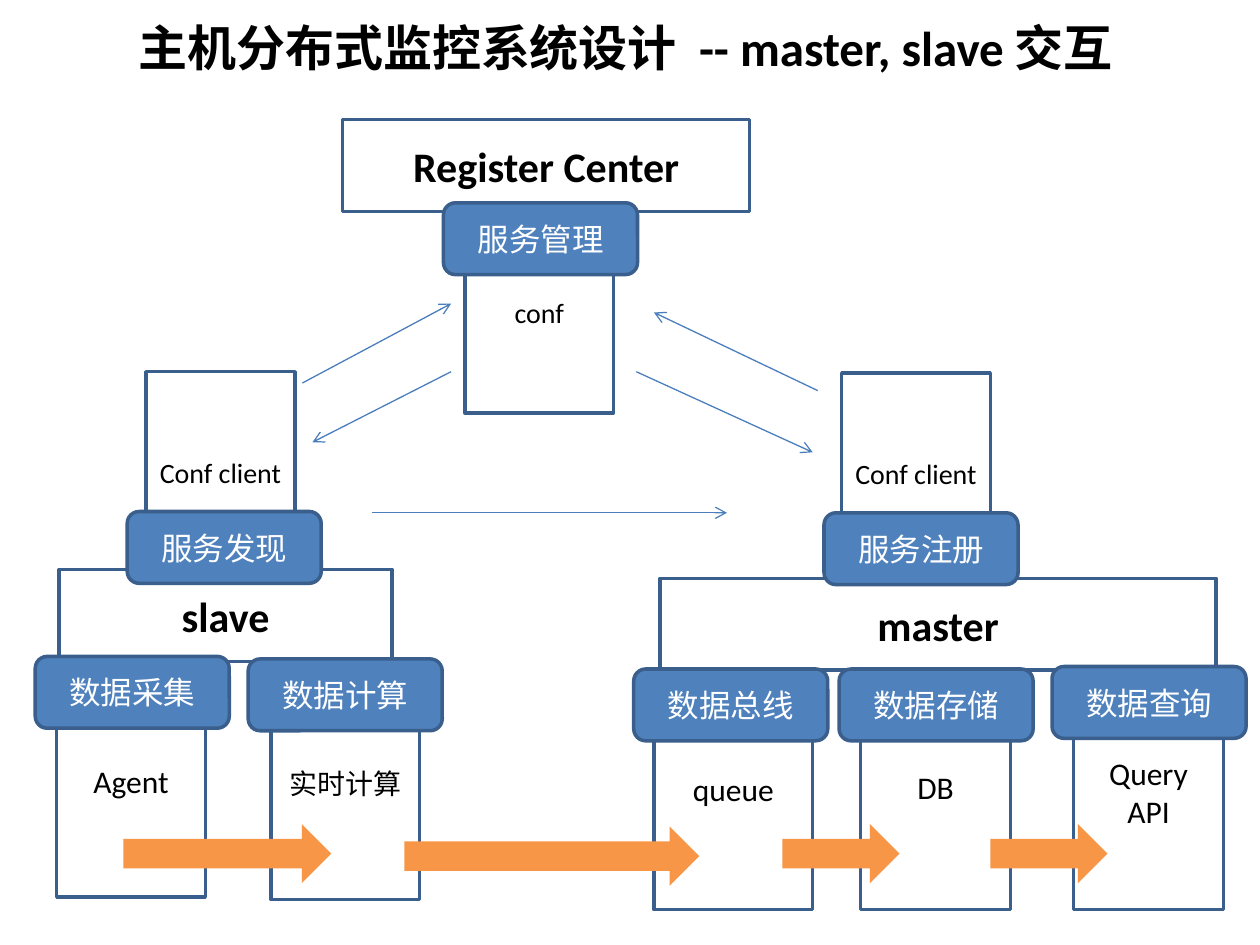
"""Build the slide on how master and slave hosts interact through the register center."""
from lxml.etree import SubElement
from pptx import Presentation
from pptx.dml.color import RGBColor
from pptx.enum.shapes import MSO_CONNECTOR, MSO_SHAPE
from pptx.enum.text import MSO_ANCHOR, MSO_AUTO_SIZE, PP_ALIGN
from pptx.oxml.ns import qn
from pptx.util import Inches, Pt

COLUMNS, ROWS = 100, 75
WIDTH, HEIGHT = Inches(10), Inches(7.5)
COLORS = {
    "panel": "FFFFFF",
    "badge": "4F81BD",
    "outline": "3A5F8C",
    "flow": "F79646",
    "link": "4B7EBC",
    "dark": "000000",
    "light": "FFFFFF",
}
FONT = "Calibri"
TITLE = "主机分布式监控系统设计  -- master, slave 交互"

MODULES = [
    ("Agent", 18, 4.5, 52.8, 11.8, 18.4),
    ("实时计算", 16, 21.5, 53, 11.8, 18.4),
    ("queue", 18, 51.9, 53.1, 12.6, 19.1),
    ("DB", 18, 68.3, 52.7, 11.9, 19.5),
    ("Query\nAPI", 18, 85.2, 53.5, 11.9, 18.7),
]
HOSTS = [
    ("Register Center", 27.2, 9.5, 32.3),
    ("slave", 4.7, 45.2, 26.4),
    ("master", 52.4, 45.9, 44.1),
]
CONF_NODES = [
    ("conf", 36.9, 16.8),
    ("Conf client", 11.6, 29.5),
    ("Conf client", 66.8, 29.6),
]
BADGES = [
    ("服务管理", 35.2, 16.1),
    ("服务发现", 10.1, 40.6),
    ("服务注册", 65.4, 40.7),
    ("数据采集", 2.8, 52.1),
    ("数据计算", 19.7, 52.3),
    ("数据总线", 50.3, 53.1),
    ("数据存储", 66.6, 53.1),
    ("数据查询", 83.5, 52.9),
]
FLOWS = [(9.8, 65.4, 16.5), (32.1, 65.6, 23.4), (62.1, 65.4, 9.3), (78.6, 65.4, 9.3)]
LINKS = [
    (64.9, 31, 51.9, 24.8),
    (50.5, 29.5, 64.5, 35.9),
    (24, 30.4, 35.8, 24.1),
    (35.8, 29.5, 24.8, 35.1),
    (29.5, 40.7, 57.7, 40.7),
]


def color(name):
    """Return the named colour."""
    return RGBColor.from_string(COLORS[name])


def grid(column, row):
    """Turn grid columns and rows into slide lengths."""
    return round(WIDTH * column / COLUMNS), round(HEIGHT * row / ROWS)


def write(frame, text, size, ink, bold=False, align=PP_ALIGN.CENTER):
    """Write text into a frame with one format."""
    frame.text = text
    for para in frame.paragraphs:
        para.alignment = align
        for span in para.runs:
            span.font.name = FONT
            span.font.size = Pt(size)
            span.font.bold = bold
            span.font.color.rgb = color(ink)


def add_block(page, kind, place, fill, outline=None):
    """Add a filled preset shape at a grid place."""
    column, row, columns, rows = place
    block = page.shapes.add_shape(kind, *grid(column, row), *grid(columns, rows))
    block.shadow.inherit = False
    block.fill.solid()
    block.fill.fore_color.rgb = color(fill)
    if outline:
        block.line.color.rgb = color(outline)
        block.line.width = Pt(2)
    else:
        block.line.fill.background()
    return block


def add_panel(page, text, size, place, bold=False):
    """Add a white outlined box with dark text."""
    panel = add_block(page, MSO_SHAPE.RECTANGLE, place, "panel", "outline")
    panel.text_frame.vertical_anchor = MSO_ANCHOR.MIDDLE
    write(panel.text_frame, text, size, "dark", bold)


def add_badge(page, text, column, row):
    """Add a rounded blue label."""
    place = (column, row, 15.4, 5.7)
    badge = add_block(page, MSO_SHAPE.ROUNDED_RECTANGLE, place, "badge", "outline")
    badge.text_frame.vertical_anchor = MSO_ANCHOR.MIDDLE
    write(badge.text_frame, text, 18, "light")


def add_link(page, start_column, start_row, end_column, end_row):
    """Add a thin line with an open arrowhead at its end."""
    link = page.shapes.add_connector(
        MSO_CONNECTOR.STRAIGHT, *grid(start_column, start_row), *grid(end_column, end_row)
    )
    link.line.color.rgb = color("link")
    link.line.width = Pt(0.75)
    SubElement(link.line._get_or_add_ln(), qn("a:tailEnd"), type="arrow")
    SubElement(link._element.spPr, qn("a:effectLst"))


def set_title(page):
    """Place and format the title."""
    title = page.shapes.title
    title.left, title.top = grid(10, 0.9)
    title.width, title.height = grid(81.1, 5.7)
    frame = title.text_frame
    frame.word_wrap = True
    frame.auto_size = MSO_AUTO_SIZE.NONE
    frame.vertical_anchor = MSO_ANCHOR.TOP
    write(frame, TITLE, 28, "dark", True, PP_ALIGN.LEFT)


def main():
    """Build and save the deck."""
    deck = Presentation()
    deck.slide_width, deck.slide_height = WIDTH, HEIGHT
    page = deck.slides.add_slide(deck.slide_layouts[5])
    set_title(page)
    for text, size, *place in MODULES:
        add_panel(page, text, size, place)
    for text, column, row, columns in HOSTS:
        add_panel(page, text, 24, (column, row, columns, 7.3), True)
    for text, column, row in CONF_NODES:
        add_panel(page, text, 16, (column, row, 11.8, 16))
    for badge in BADGES:
        add_badge(page, *badge)
    for column, row, columns in FLOWS:
        add_block(page, MSO_SHAPE.RIGHT_ARROW, (column, row, columns, 4.7), "flow")
    for link in LINKS:
        add_link(page, *link)
    deck.save("out.pptx")


main()
